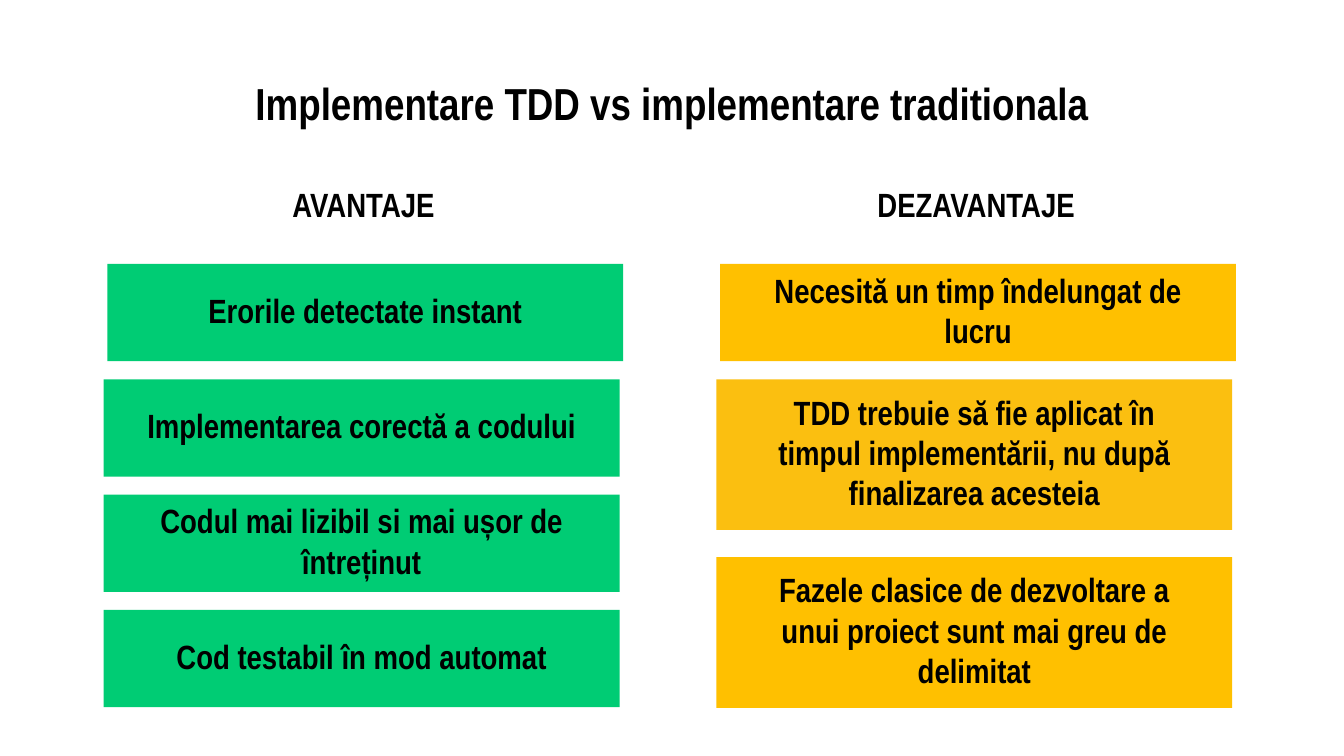
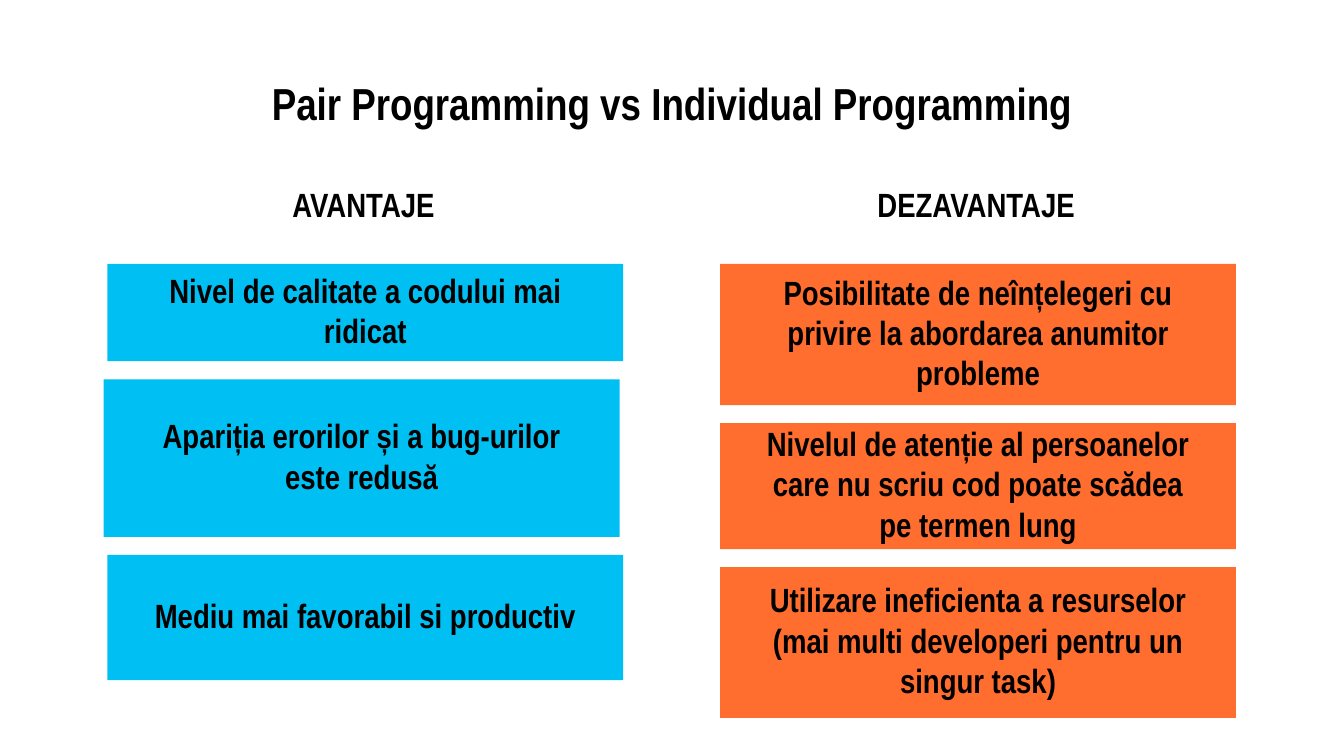
from dataclasses import dataclass

import pptx
import pptx.dml.color
import pptx.enum.shapes
import pptx.enum.text
import pptx.util

Cm = pptx.util.Cm

COLORS = {
    "background": "FFFFFF",
    "text": "000000",
    "green": "00CC74",
    "yellow": "FFC000",
    "amber": "FBBF10",
    "blue": "00C0F3",
    "orange": "FF6D2F",
}
FONT = "Arial Narrow"
TITLE_SIZE, BODY_SIZE = 24, 18
COLUMN_LEFTS = (2.03, 13.61)
COLUMN_HEADINGS = ("AVANTAJE", "DEZAVANTAJE")
HEADING_TOP, HEADING_WIDTH, HEADING_HEIGHT = 3.07, 9.68, 1.57
CARD_TOP, CARD_WIDTH, CARD_GAP = 4.99, 9.75, 0.34
OUTDENT = 0.07
TEXT_INSET = 0.25
CARD_INSETS = (0.7, 0, 0.7, 0.1)


@dataclass(frozen=True)
class Card:
    text: str
    color: str
    height: float = 1.84
    outdent: float = 0
    gap: float = CARD_GAP


@dataclass(frozen=True)
class Comparison:
    title: str
    columns: tuple[tuple[Card, ...], ...]


COMPARISONS = (
    Comparison(
        "Implementare TDD vs implementare traditionala",
        (
            (
                Card("Erorile detectate instant", "green"),
                Card("Implementarea corectă a codului", "green", outdent=OUTDENT),
                Card("Codul mai lizibil si mai ușor de întreținut", "green", outdent=OUTDENT),
                Card("Cod testabil în mod automat", "green", outdent=OUTDENT),
            ),
            (
                Card("Necesită un timp îndelungat de lucru", "yellow"),
                Card(
                    "TDD trebuie să fie aplicat în timpul implementării, nu după finalizarea acesteia",
                    "amber", 2.85, OUTDENT, gap=0.51,
                ),
                Card(
                    "Fazele clasice de dezvoltare a unui proiect sunt mai greu de delimitat",
                    "yellow", 2.85, OUTDENT,
                ),
            ),
        ),
    ),
    Comparison(
        "Pair Programming vs Individual Programming",
        (
            (
                Card("Nivel de calitate a codului mai ridicat", "blue"),
                Card("Apariția erorilor și a bug-urilor este redusă", "blue", 2.98, OUTDENT),
                Card("Mediu mai favorabil si productiv", "blue", 2.37),
            ),
            (
                Card(
                    "Posibilitate de neînțelegeri cu privire la abordarea anumitor probleme",
                    "orange", 2.67,
                ),
                Card(
                    "Nivelul de atenție al persoanelor care nu scriu cod poate scădea pe termen lung",
                    "orange", 2.38,
                ),
                Card(
                    "Utilizare ineficienta a resurselor (mai multi developeri pentru un singur task)",
                    "orange", 2.85,
                ),
            ),
        ),
    ),
)


def rgb(name: str) -> pptx.dml.color.RGBColor:
    return pptx.dml.color.RGBColor.from_string(COLORS[name])


def write_text(shape, text: str, size: int, insets: tuple[float, ...] = (TEXT_INSET,) * 4) -> None:
    frame = shape.text_frame
    frame.text = text
    frame.word_wrap = True
    frame.vertical_anchor = pptx.enum.text.MSO_ANCHOR.MIDDLE
    frame.margin_left, frame.margin_top, frame.margin_right, frame.margin_bottom = map(Cm, insets)
    paragraph = frame.paragraphs[0]
    paragraph.alignment = pptx.enum.text.PP_ALIGN.CENTER
    font = paragraph.runs[0].font
    font.name = FONT
    font.size = pptx.util.Pt(size)
    font.bold = True
    font.color.rgb = rgb("text")


def add_label(slide, text: str, size: int, left: float, top: float, width: float, height: float) -> None:
    write_text(slide.shapes.add_textbox(Cm(left), Cm(top), Cm(width), Cm(height)), text, size)


def add_card(slide, card: Card, left: float, top: float) -> None:
    shape = slide.shapes.add_shape(
        pptx.enum.shapes.MSO_SHAPE.RECTANGLE,
        Cm(left - card.outdent), Cm(top), Cm(CARD_WIDTH), Cm(card.height),
    )
    shape.shadow.inherit = False
    shape.fill.solid()
    shape.fill.fore_color.rgb = rgb(card.color)
    shape.line.fill.background()
    write_text(shape, card.text, BODY_SIZE, CARD_INSETS)


def add_column(slide, heading: str, left: float, cards: tuple[Card, ...]) -> None:
    add_label(slide, heading, BODY_SIZE, left, HEADING_TOP, HEADING_WIDTH, HEADING_HEIGHT)
    top = CARD_TOP
    for card in cards:
        add_card(slide, card, left, top)
        top += card.height + card.gap


def add_comparison(presentation, comparison: Comparison) -> None:
    slide = presentation.slides.add_slide(presentation.slide_layouts[6])
    slide.background.fill.solid()
    slide.background.fill.fore_color.rgb = rgb("background")
    add_label(slide, comparison.title, TITLE_SIZE, 1.27, 1.14, 22.86, 1.6)
    for heading, left, cards in zip(COLUMN_HEADINGS, COLUMN_LEFTS, comparison.columns):
        add_column(slide, heading, left, cards)


def main() -> None:
    presentation = pptx.Presentation()
    presentation.slide_width = Cm(25.4)
    presentation.slide_height = Cm(14.29)
    for comparison in COMPARISONS:
        add_comparison(presentation, comparison)
    presentation.save("out.pptx")


if __name__ == "__main__":
    main()
